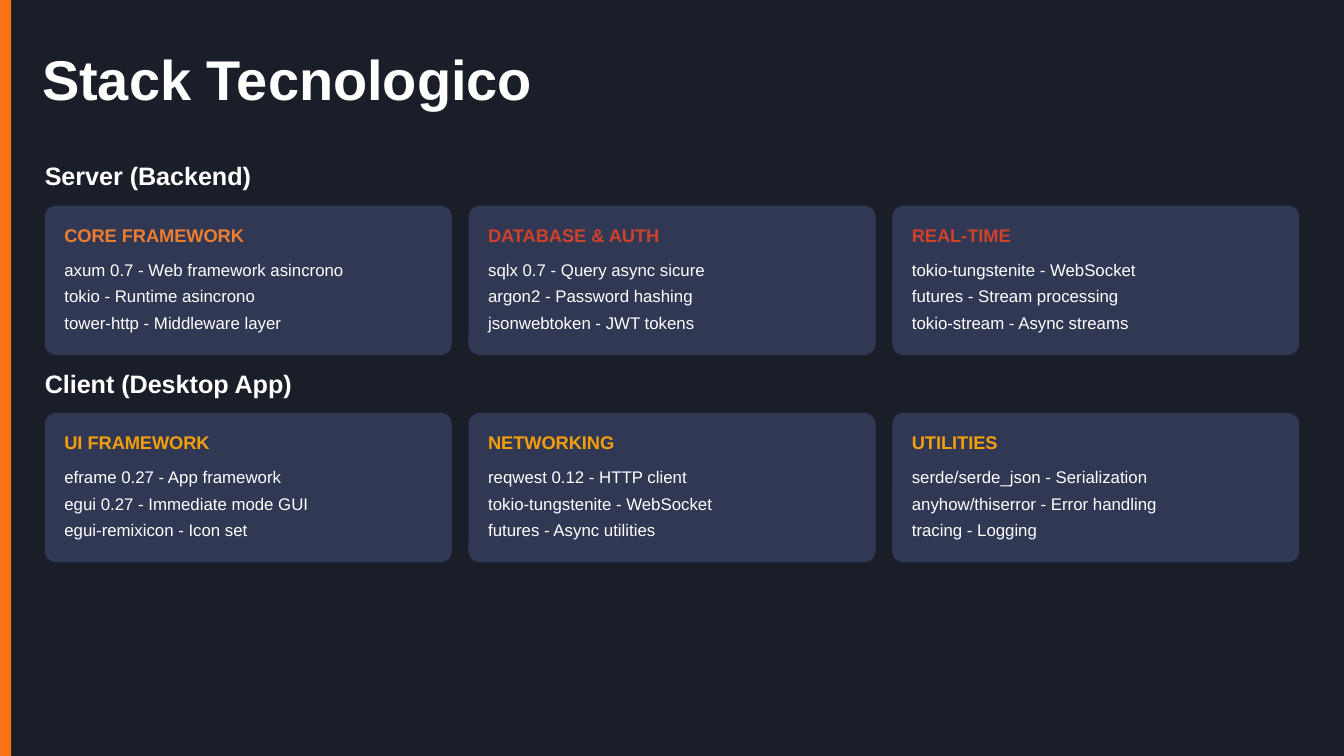
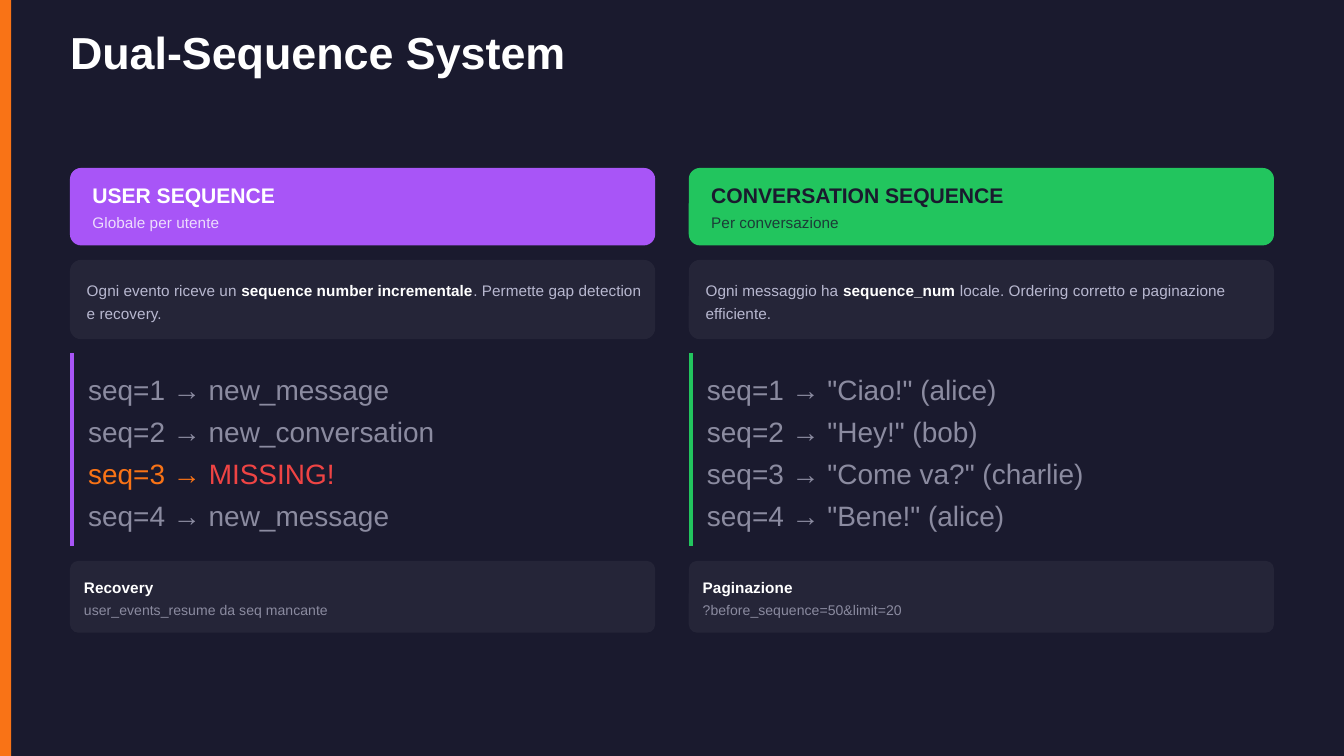
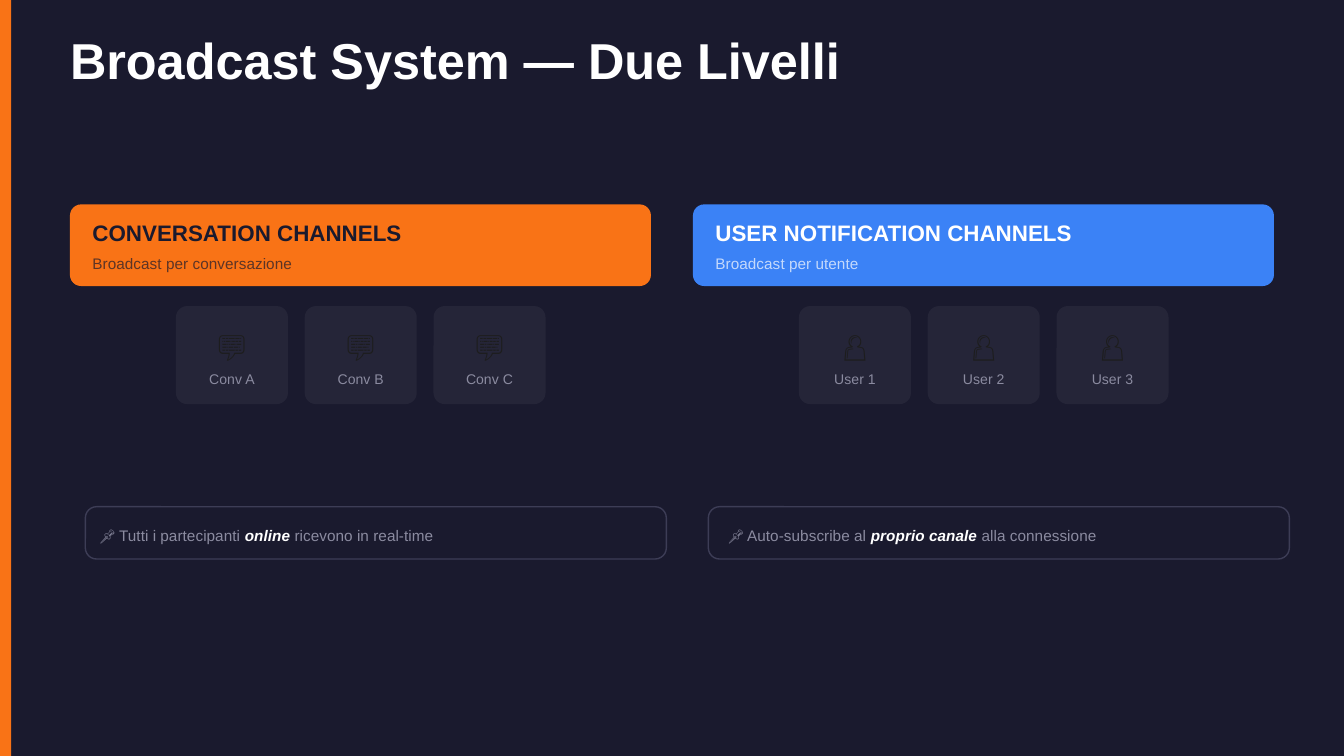
from dataclasses import dataclass

from lxml.etree import SubElement
from pptx import Presentation
from pptx.dml.color import RGBColor
from pptx.enum.shapes import MSO_CONNECTOR, MSO_SHAPE
from pptx.enum.text import MSO_ANCHOR, MSO_AUTO_SIZE, PP_ALIGN
from pptx.oxml.ns import qn
from pptx.util import Pt


@dataclass(frozen=True)
class Theme:
    font: str = "Arial"
    # Colours
    slate: str = "1A1E28"
    night: str = "1A1A2E"
    card: str = "303854"
    panel: str = "252538"
    outline: str = "3D3D56"
    white: str = "FFFFFF"
    muted: str = "8B8BA0"
    lavender: str = "B8B8D0"
    icon: str = "1D1D1D"
    orange: str = "F97316"
    copper: str = "ED7D31"
    rust: str = "CE422B"
    amber: str = "F59E0B"
    red: str = "EF4444"
    purple: str = "A855F7"
    green: str = "22C55E"
    blue: str = "3B82F6"
    # Type: (size, line spacing)
    section: tuple = (13.5, 15)
    card_label: tuple = (9.75, 11.7)
    card_line: tuple = (9, 13.5)
    sequence_label: tuple = (11.25, 13.5)
    channel_label: tuple = (12, 14.4)
    small: tuple = (8.25, 11.55)
    description: tuple = (8.25, 12.38)
    large: tuple = (15, 21)
    caption: tuple = (7.5, 10.5)


THEME = Theme()

# Content: a rich text is a list of (text, colour, bold, italic) runs
STACK_TITLE = "Stack Tecnologico"
STACK = [
    ("Server (Backend)", [
        ("CORE FRAMEWORK", THEME.copper, [
            "axum 0.7 - Web framework asincrono",
            "tokio - Runtime asincrono",
            "tower-http - Middleware layer"]),
        ("DATABASE & AUTH", THEME.rust, [
            "sqlx 0.7 - Query async sicure",
            "argon2 - Password hashing",
            "jsonwebtoken - JWT tokens"]),
        ("REAL-TIME", THEME.rust, [
            "tokio-tungstenite - WebSocket",
            "futures - Stream processing",
            "tokio-stream - Async streams"]),
    ]),
    ("Client (Desktop App)", [
        ("UI FRAMEWORK", THEME.amber, [
            "eframe 0.27 - App framework",
            "egui 0.27 - Immediate mode GUI",
            "egui-remixicon - Icon set"]),
        ("NETWORKING", THEME.amber, [
            "reqwest 0.12 - HTTP client",
            "tokio-tungstenite - WebSocket",
            "futures - Async utilities"]),
        ("UTILITIES", THEME.amber, [
            "serde/serde_json - Serialization",
            "anyhow/thiserror - Error handling",
            "tracing - Logging"]),
    ]),
]

SEQUENCE_TITLE = "Dual-Sequence System"
SEQUENCES = [
    {
        "header": ("USER SEQUENCE", "Globale per utente", THEME.purple, THEME.white),
        "description": [
            ("Ogni evento riceve un ", THEME.lavender, False, False),
            ("sequence number incrementale", THEME.white, True, False),
            (". Permette gap detection e recovery.", THEME.lavender, False, False)],
        "events": [
            "seq=1 → new_message",
            "seq=2 → new_conversation",
            [("seq=3 → ", THEME.orange, False, False),
             ("MISSING!", THEME.red, False, False)],
            "seq=4 → new_message"],
        "footer": ("Recovery", "user_events_resume da seq mancante"),
    },
    {
        "header": ("CONVERSATION SEQUENCE", "Per conversazione", THEME.green, THEME.night),
        "description": [
            ("Ogni messaggio ha ", THEME.lavender, False, False),
            ("sequence_num", THEME.white, True, False),
            (" locale. Ordering corretto e paginazione efficiente.",
             THEME.lavender, False, False)],
        "events": [
            'seq=1 → "Ciao!" (alice)',
            'seq=2 → "Hey!" (bob)',
            'seq=3 → "Come va?" (charlie)',
            'seq=4 → "Bene!" (alice)'],
        "footer": ("Paginazione", "?before_sequence=50&limit=20"),
    },
]

BROADCAST_TITLE = "Broadcast System — Due Livelli"
CHANNELS = [
    {
        "header": ("CONVERSATION CHANNELS", "Broadcast per conversazione",
                   THEME.orange, THEME.night),
        "icon": "💬",
        "members": ["Conv A", "Conv B", "Conv C"],
        "note": [
            ("📌 Tutti i partecipanti ", THEME.muted, False, False),
            ("online", THEME.white, True, True),
            (" ricevono in real-time", THEME.muted, False, False)],
        "note_inset": 7.75,
    },
    {
        "header": ("USER NOTIFICATION CHANNELS", "Broadcast per utente",
                   THEME.blue, THEME.white),
        "icon": "👤",
        "members": ["User 1", "User 2", "User 3"],
        "note": [
            ("📌 Auto-subscribe al ", THEME.muted, False, False),
            ("proprio canale", THEME.white, True, True),
            (" alla connessione", THEME.muted, False, False)],
        "note_inset": 10.75,
    },
]

SLIDE_WIDTH, SLIDE_HEIGHT = 720, 405


# Shared helpers
def write_text(shape, text, style, colour=THEME.white, bold=False, alpha=None,
               align=PP_ALIGN.LEFT, inset=0):
    frame = shape.text_frame
    frame.word_wrap = True
    frame.auto_size = MSO_AUTO_SIZE.NONE
    frame.vertical_anchor = MSO_ANCHOR.TOP
    frame.margin_left = frame.margin_right = 0
    frame.margin_top = frame.margin_bottom = Pt(inset)
    paragraph = frame.paragraphs[0]
    size, spacing = style
    paragraph.alignment = align
    paragraph.line_spacing = Pt(spacing)
    paragraph.font.name = THEME.font
    paragraph.font.size = Pt(size)
    if isinstance(text, str):
        paragraph.add_run().text = text
        paragraph.font.bold = bold
        paragraph.font.color.rgb = RGBColor.from_string(colour)
        if alpha:
            colour_element = paragraph._p.find(".//" + qn("a:srgbClr"))
            SubElement(colour_element, qn("a:alpha"), val=str(alpha * 1000))
        return
    for words, run_colour, run_bold, run_italic in text:
        run = paragraph.add_run()
        run.text = words
        run.font.bold, run.font.italic = run_bold, run_italic
        run.font.color.rgb = RGBColor.from_string(run_colour)


def add_text(slide, left, top, width, height, text, style, **options):
    box = slide.shapes.add_textbox(Pt(left), Pt(top), Pt(width), Pt(height))
    write_text(box, text, style, **options)


def add_panel(slide, left, top, width, height, fill, radius=6, line=None):
    kind = MSO_SHAPE.ROUNDED_RECTANGLE if radius else MSO_SHAPE.RECTANGLE
    panel = slide.shapes.add_shape(kind, Pt(left), Pt(top), Pt(width), Pt(height))
    panel.shadow.inherit = False
    if radius:
        panel.adjustments[0] = radius / height
    panel.fill.solid()
    panel.fill.fore_color.rgb = RGBColor.from_string(fill)
    if line:
        panel.line.color.rgb = RGBColor.from_string(line)
        panel.line.width = Pt(0.75)
    else:
        panel.line.fill.background()


def add_vertical_rule(slide, x, top, height, colour):
    rule = slide.shapes.add_connector(
        MSO_CONNECTOR.STRAIGHT, Pt(x), Pt(top), Pt(x), Pt(top + height))
    rule.line.color.rgb = RGBColor.from_string(colour)
    rule.line.width = Pt(2.25)
    SubElement(rule._element.spPr, qn("a:effectLst"))


def start_slide(presentation, background, title, box, size, inset=0):
    """Add a slide with its background, side bar and title."""
    slide = presentation.slides.add_slide(presentation.slide_layouts[5])
    slide.background.fill.solid()
    slide.background.fill.fore_color.rgb = RGBColor.from_string(background)
    add_panel(slide, 0, 0, 6, SLIDE_HEIGHT, THEME.orange, radius=0)
    shape = slide.shapes.title
    shape.left, shape.top, shape.width, shape.height = map(Pt, box)
    write_text(shape, title, (size, size), bold=True, inset=inset)
    return slide


def add_header(slide, left, top, width, height, header, style, subtitle_top, alpha):
    label, subtitle, fill, colour = header
    add_panel(slide, left, top, width, height, fill)
    text_left, text_width = left + 12, width - 18
    add_text(slide, text_left, top + 8, text_width, style[1], label, style,
             colour=colour, bold=True)
    add_text(slide, text_left, top + subtitle_top, text_width, 11.5, subtitle,
             THEME.small, colour=colour, alpha=alpha)


# Slides
def build_stack(presentation):
    slide = start_slide(presentation, THEME.slate, STACK_TITLE,
                        (22.5, 15, 345, 60), 30, inset=15)
    for row, (section, cards) in enumerate(STACK):
        top = 87.25 + row * 111
        add_text(slide, 24, top, 343.5, 15, section, THEME.section, bold=True)
        for column, (label, colour, lines) in enumerate(cards):
            left = 24 + column * 227
            add_panel(slide, left, top + 23, 218, 80, THEME.card)
            add_text(slide, left + 10.5, top + 33, 201, 11.7, label,
                     THEME.card_label, colour=colour, bold=True)
            for index, line in enumerate(lines):
                add_text(slide, left + 10.5, top + 49 + index * 14.4, 201, 14.4,
                         line, THEME.card_line)


def build_sequences(presentation):
    slide = start_slide(presentation, THEME.night, SEQUENCE_TITLE,
                        (37.5, 18, 341, 24), 24)
    width = 313.5
    for column, sequence in enumerate(SEQUENCES):
        left = 37.5 + column * 331.5
        accent = sequence["header"][2]
        add_header(slide, left, 90, width, 41.5, sequence["header"],
                   THEME.sequence_label, 22.5, 80)

        add_panel(slide, left, 139.25, width, 42.5, THEME.panel)
        add_text(slide, left + 9, 148.25, 301.5, 24.75, sequence["description"],
                 THEME.description)

        add_panel(slide, left, 189.25, width, 103.5, THEME.night, radius=4.5)
        add_vertical_rule(slide, left + 1.13, 189.25, 103.5, accent)
        for index, event in enumerate(sequence["events"]):
            add_text(slide, left + 9.75, 196.75 + index * 22.5, 302.5, 21, event,
                     THEME.large, colour=THEME.muted)

        label, detail = sequence["footer"]
        add_panel(slide, left, 300.5, width, 38.5, THEME.panel, radius=4.5)
        add_text(slide, left + 7.5, 308, 304.5, 11.5, label, THEME.small, bold=True)
        add_text(slide, left + 7.5, 321, 304.5, 10.5, detail, THEME.caption,
                 colour=THEME.muted)


def build_broadcast(presentation):
    slide = start_slide(presentation, THEME.night, BROADCAST_TITLE,
                        (37.5, 21, 421, 27), 27)
    width = 311.25
    for column, channel in enumerate(CHANNELS):
        left = 37.5 + column * 333.75
        add_header(slide, left, 109.5, width, 43.75, channel["header"],
                   THEME.channel_label, 25, 70)

        for index, member in enumerate(channel["members"]):
            tile_left = left + 56.75 + index * 69
            add_panel(slide, tile_left, 164, 60, 52.5, THEME.panel)
            add_text(slide, tile_left + 8.75, 173, 42.5, 21, channel["icon"],
                     THEME.large, colour=THEME.icon, align=PP_ALIGN.CENTER)
            add_text(slide, tile_left + 8.75, 197.25, 42.5, 10.5, member,
                     THEME.caption, colour=THEME.muted, align=PP_ALIGN.CENTER)

        note_left = left + 8.25
        add_panel(slide, note_left, 271.5, width, 28, THEME.night, line=THEME.outline)
        add_text(slide, note_left + channel["note_inset"], 280, 301, 11.5,
                 channel["note"], THEME.small)


def main():
    presentation = Presentation()
    presentation.slide_width = Pt(SLIDE_WIDTH)
    presentation.slide_height = Pt(SLIDE_HEIGHT)
    build_stack(presentation)
    build_sequences(presentation)
    build_broadcast(presentation)
    presentation.save("out.pptx")


if __name__ == "__main__":
    main()
